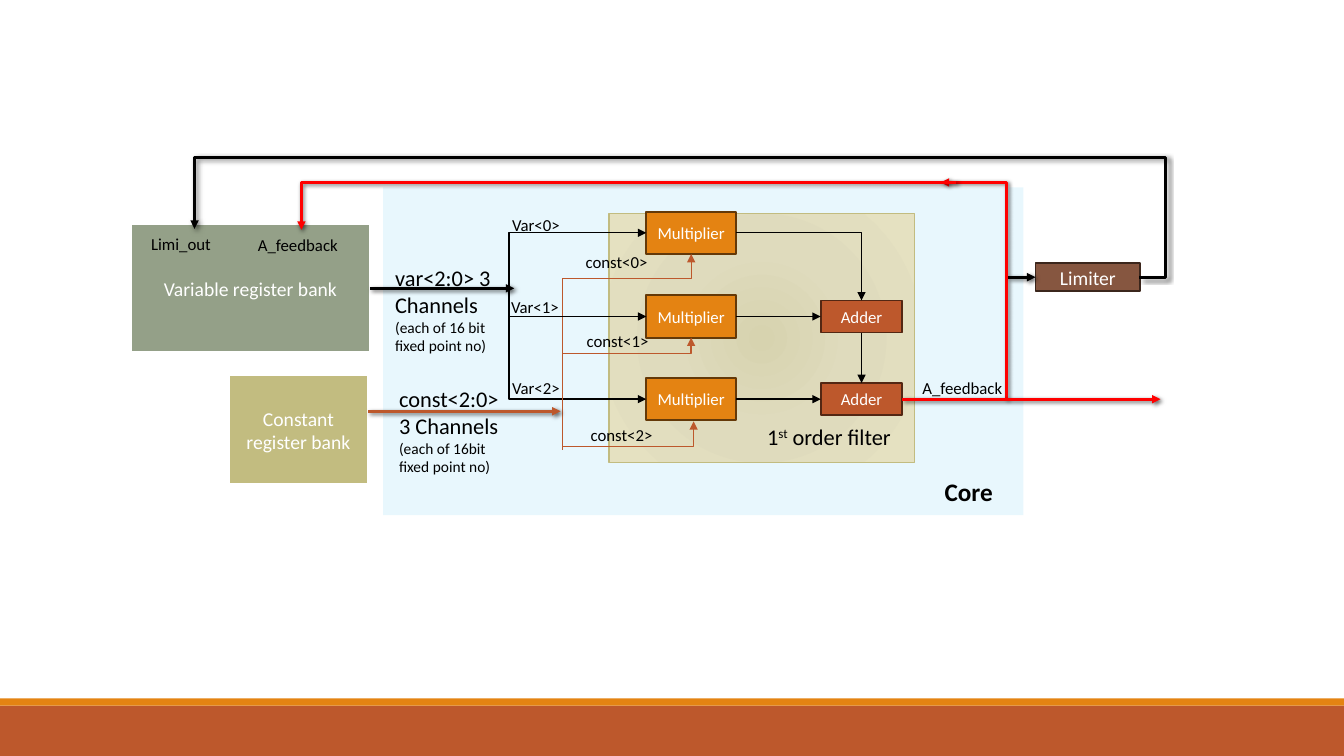
from lxml import etree
from pptx import Presentation
from pptx.dml.color import RGBColor
from pptx.enum.shapes import MSO_CONNECTOR, MSO_SHAPE
from pptx.enum.text import MSO_ANCHOR, MSO_AUTO_SIZE, PP_ALIGN
from pptx.oxml import parse_xml
from pptx.oxml.ns import nsdecls, qn
from pptx.util import Inches, Pt

RECT = MSO_SHAPE.RECTANGLE
STRAIGHT, ELBOW = MSO_CONNECTOR.STRAIGHT, MSO_CONNECTOR.ELBOW
TOP, LEFT, BOTTOM, RIGHT = range(4)
BLACK = RGBColor(0, 0, 0)
WHITE = RGBColor(0xFF, 0xFF, 0xFF)
RED = RGBColor(0xFF, 0, 0)
ORANGE = RGBColor(0xE4, 0x83, 0x12)
DARK_ORANGE = RGBColor(0x64, 0x39, 0x08)
RUST = RGBColor(0xBD, 0x58, 0x2C)
DARK_RUST = RGBColor(0x53, 0x27, 0x13)
BROWN = RGBColor(0x86, 0x56, 0x40)
DARK_BROWN = RGBColor(0x3B, 0x26, 0x1C)
SAGE = RGBColor(0x94, 0xA0, 0x88)
KHAKI = RGBColor(0xC2, 0xBC, 0x80)
SKY = RGBColor(0x00, 0xB0, 0xF0)
FILTER_STOPS = [(0, "D7D3AF"), (45, "DFDBBD"), (100, "E5E1C1")]

ROWS = [2.31, 3.14, 3.96]  # centre line of each multiplier
MULT_X, MULT_W, MULT_H = 6.41, 0.89, 0.42
ADDER_X, ADDER_W, ADDER_H = 8.14, 0.81, 0.32
MULT_MID = MULT_X + MULT_W / 2
ADDER_MID = ADDER_X + ADDER_W / 2
VAR_BUS, CONST_BUS = 5.05, 5.58
VAR_Y, CONST_Y, FEEDBACK_X, FEEDBACK_Y = 2.86, 4.08, 9.98, 1.81

# text, left, top, width, height, size, bold
LABELS = [
    ("A_feedback", 9.05, 3.7, 1.09, 0.3, 12, False),
    ("A_feedback", 2.46, 2.28, 1.06, 0.3, 12, False),
    ("Limi_out", 1.4, 2.27, 1.06, 0.3, 12, False),
    ("Core", 9.27, 4.68, 1, 0.4, 18, True),
    ("Var<0>", 4.98, 2.08, 0.81, 0.3, 12, False),
    ("Var<1>", 4.97, 2.89, 0.81, 0.3, 12, False),
    ("Var<2>", 4.98, 3.7, 0.81, 0.3, 12, False),
    ("const<0>", 5.71, 2.45, 0.84, 0.3, 12, False),
    ("const<1>", 5.72, 3.23, 0.84, 0.3, 12, False),
    ("const<2>", 5.76, 4.16, 0.84, 0.3, 12, False),
]
# heading, note, left, top, width
BUS_NOTES = [
    ("var<2:0> 3 Channels", "(each of 16 bit fixed point no)", 3.82, 2.57, 1.19),
    ("const<2:0> 3 Channels", "(each of 16bit fixed point no)", 3.86, 3.77, 1.23),
]
# start, end, vertical first, further bends, colour, width
ROUTES = [
    ((MULT_X + MULT_W, ROWS[0]), (ADDER_MID, 2.98), False, [], BLACK, 1),
    ((VAR_BUS, VAR_Y), (MULT_X, ROWS[0]), True, [], BLACK, 1),
    ((VAR_BUS, VAR_Y), (MULT_X, ROWS[2]), True, [], BLACK, 1),
    ((CONST_BUS, 4.46), (MULT_MID, 2.52), True, [2.76], RUST, 1),
    ((CONST_BUS, 3.51), (MULT_MID, 3.35), False, [], RUST, 1),
    ((CONST_BUS, 4.43), (6.88, 4.18), False, [], RUST, 1),
    ((FEEDBACK_X, ROWS[2]), (9.33, FEEDBACK_Y), True, [], RED, 2),
    ((9.48, FEEDBACK_Y), (2.99, 2.28), False, [], RED, 2),
    ((11.3, 2.75), (1.93, 2.27), False, [11.56, 1.56], BLACK, 2),
]


def add_box(s, x, y, w, h, fill=None, line=None, width=1.25, text="", size=12):
    box = s.shapes.add_shape(RECT, Inches(x), Inches(y), Inches(w), Inches(h))
    box.shadow.inherit = False
    if fill is not None:
        box.fill.solid()
        box.fill.fore_color.rgb = fill
    if line is None:
        box.line.fill.background()
    else:
        box.line.color.rgb = line
        box.line.width = Pt(width)
    if text:
        tf = box.text_frame
        tf.vertical_anchor = MSO_ANCHOR.MIDDLE
        p = tf.paragraphs[0]
        p.text = text
        p.alignment = PP_ALIGN.CENTER
        style(p.font, size, WHITE)
    return box


def style(font, size, color=BLACK, bold=False):
    font.name, font.size, font.bold = "Calibri", Pt(size), bold
    font.color.rgb = color


def add_text(s, x, y, w, h, lines):
    """Lines are (text, size, bold), one paragraph each."""
    tf = s.shapes.add_textbox(Inches(x), Inches(y), Inches(w), Inches(h)).text_frame
    tf.word_wrap = True
    tf.auto_size = MSO_AUTO_SIZE.SHAPE_TO_FIT_TEXT
    tf.text = "\n".join(text for text, _, _ in lines)
    for p, (_, size, bold) in zip(tf.paragraphs, lines):
        style(p.font, size, bold=bold)
    return tf


def add_arrow(s, start, end, color, width, kind=STRAIGHT):
    """Arrow with a head at the end; thick arrows cast a shadow."""
    arrow = s.shapes.add_connector(kind, *(Inches(v) for v in (*start, *end)))
    arrow.line.color.rgb = color
    arrow.line.width = Pt(width)
    etree.SubElement(arrow.line._get_or_add_ln(), qn("a:tailEnd"), type="triangle")
    effects = etree.SubElement(arrow._element.spPr, qn("a:effectLst"))
    if width >= 2:
        shadow = etree.SubElement(effects, qn("a:outerShdw"), blurRad=str(Pt(3)),
                                  dist=str(Pt(2)), dir="2700000", algn="tl", rotWithShape="0")
        black = etree.SubElement(shadow, qn("a:srgbClr"), val="000000")
        etree.SubElement(black, qn("a:alpha"), val="60000")
    return arrow


def add_route(s, start, end, vertical_first, bends, color, width):
    """Elbow arrow; bends are coordinates on alternating axes."""
    (x0, y0), (x1, y1) = start, end
    a, b = start, end
    if vertical_first:  # a quarter turn about the centre
        cx, cy = (x0 + x1) / 2, (y0 + y1) / 2
        a, b = ((cx + y - cy, cy - x + cx) for x, y in (start, end))
    arrow = add_arrow(s, a, b, color, width, ELBOW)
    sp_pr = arrow._element.spPr
    if vertical_first:
        sp_pr.find(qn("a:xfrm")).set("rot", "5400000")
    geom = sp_pr.find(qn("a:prstGeom"))
    geom.set("prst", f"bentConnector{len(bends) + 2}")
    for i, bend in enumerate(bends):
        axis = (i + vertical_first) % 2
        ratio = (bend - start[axis]) / (end[axis] - start[axis])
        etree.SubElement(geom.find(qn("a:avLst")), qn("a:gd"), name=f"adj{i + 1}",
                         fmla=f"val {round(ratio * 100000)}")


def fill_radial(box, stops):
    box.fill.background()
    xml_stops = "".join(f'<a:gs pos="{pos * 1000}"><a:srgbClr val="{color}"/></a:gs>'
                        for pos, color in stops)
    gradient = parse_xml(
        f'<a:gradFill {nsdecls("a")} rotWithShape="1"><a:gsLst>{xml_stops}</a:gsLst>'
        '<a:path path="circle"><a:fillToRect l="100000" t="100000" r="100000" b="100000"/>'
        '</a:path></a:gradFill>')
    sp_pr = box._element.spPr
    sp_pr.replace(sp_pr.find(qn("a:noFill")), gradient)


def main():
    prs = Presentation()
    prs.slide_width, prs.slide_height = Inches(13.33), Inches(7.5)
    s = prs.slides.add_slide(prs.slide_layouts[6])

    add_box(s, 0, 7, 13.33, 0.5, RUST)
    add_box(s, 0, 6.93, 13.33, 0.07, ORANGE)
    core = add_box(s, 3.8, 1.86, 6.35, 3.25, SKY)
    color = core._element.spPr.find(qn("a:solidFill"))[0]
    etree.SubElement(color, qn("a:alpha"), val="9000")
    fill_radial(add_box(s, 6.04, 2.12, 3.03, 2.47, line=KHAKI, width=1), FILTER_STOPS)

    mults = [add_box(s, MULT_X, y - MULT_H / 2, MULT_W, MULT_H, ORANGE, DARK_ORANGE,
                     text="Multiplier") for y in ROWS]
    adders = [add_box(s, ADDER_X, y - ADDER_H / 2, ADDER_W, ADDER_H, RUST, DARK_RUST,
                      text="Adder") for y in ROWS[1:]]
    var_bank = add_box(s, 1.3, 2.22, 2.37, 1.28, SAGE, WHITE, 2, "Variable register bank", 14)
    add_box(s, 2.27, 3.72, 1.38, 1.09, KHAKI, WHITE, 2, "Constant register bank", 14)
    limiter = add_box(s, 10.27, 2.61, 1.04, 0.28, BROWN, DARK_BROWN, text="Limiter", size=14)

    for route in ROUTES:
        add_route(s, *route)
    for mult, adder, y in zip(mults[1:], adders, ROWS[1:]):
        arrow = add_arrow(s, (MULT_X + MULT_W, y), (ADDER_X, y), BLACK, 1)
        arrow.begin_connect(mult, RIGHT)
        arrow.end_connect(adder, LEFT)
    arrow = add_arrow(s, (ADDER_MID, 3.3), (ADDER_MID, 3.8), BLACK, 1)
    arrow.begin_connect(adders[0], BOTTOM)
    arrow.end_connect(adders[1], TOP)
    add_arrow(s, (3.67, VAR_Y), (5.1, VAR_Y), BLACK, 2).begin_connect(var_bank, RIGHT)
    add_arrow(s, (VAR_BUS, ROWS[1]), (MULT_X, ROWS[1]), BLACK, 1).end_connect(mults[1], LEFT)
    add_arrow(s, (3.65, CONST_Y), (5.56, CONST_Y), RUST, 2)
    add_arrow(s, (8.95, ROWS[2]), (11.51, ROWS[2]), RED, 2).begin_connect(adders[1], RIGHT)
    add_arrow(s, (10, 2.75), (10.27, 2.75), BLACK, 2).end_connect(limiter, LEFT)

    for text, x, y, w, h, size, bold in LABELS:
        add_text(s, x, y, w, h, [(text, size, bold)])
    for heading, note, x, y, w in BUS_NOTES:
        add_text(s, x, y, w, 1.01, [(heading, 16, False), (note, 11, False)])
    p = add_text(s, 7.51, 4.15, 1.52, 0.37, [("1", 16, False)]).paragraphs[0]
    ordinal = p.add_run()
    ordinal.text = "st"
    ordinal.font._element.set("baseline", "30000")
    p.add_run().text = " order filter"

    prs.save("out.pptx")


if __name__ == "__main__":
    main()
